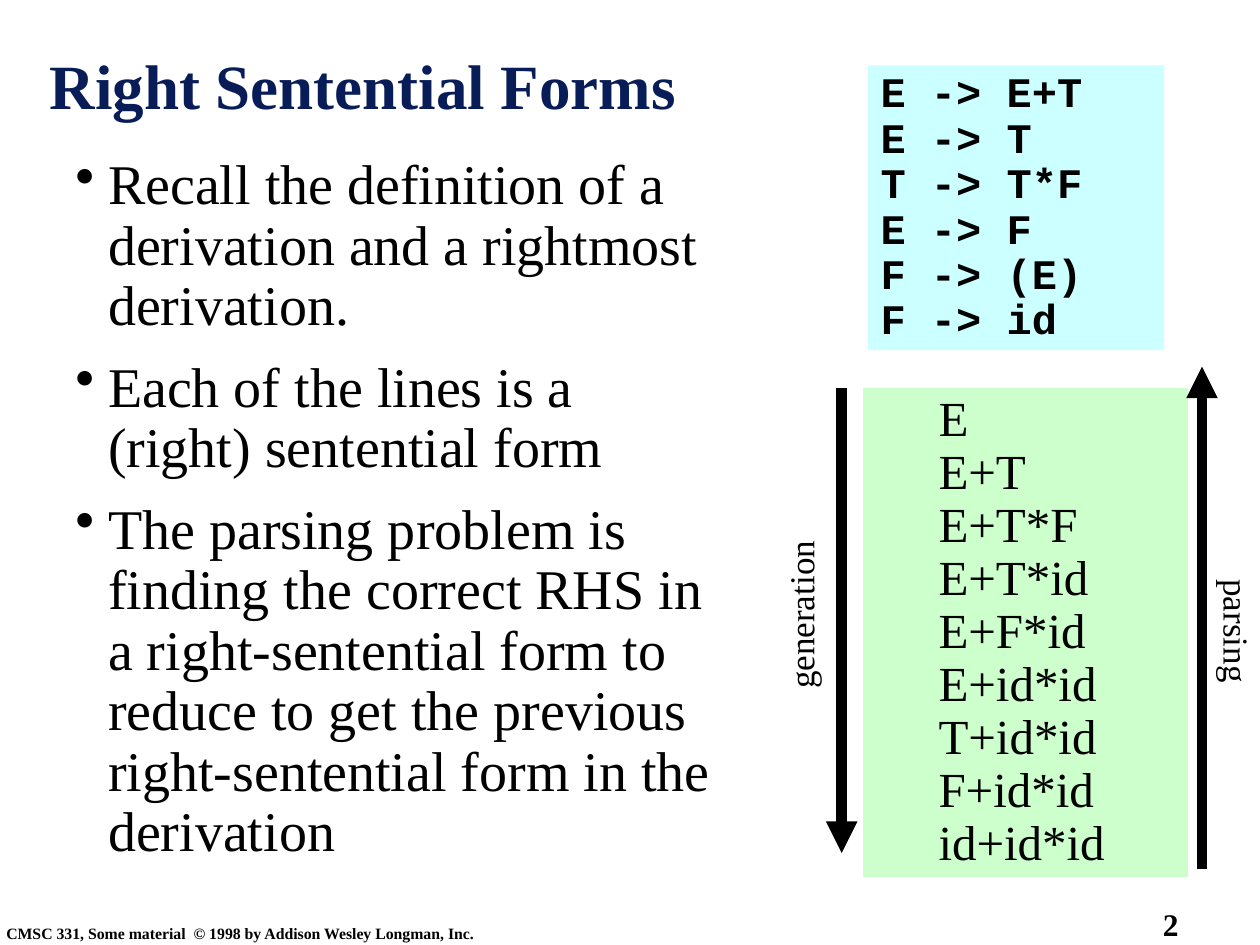
from lxml import etree
from pptx import Presentation
from pptx import util as u
from pptx.dml.color import RGBColor
from pptx.enum import shapes, text
from pptx.oxml.ns import qn

SERIF = "Times New Roman"
MONO = "Courier New"
BLACK = "000000"
NAVY = "081D58"
CYAN = "CCFFFF"
GREEN = "CCFFCC"


def color(value):
    return RGBColor.from_string(value)


class SlideBuilder:
    """Holds the text style and the current slide."""

    wide_margins = (0.1, 0.05)
    thin_margins = (0.05, 0.02)

    def __init__(self, deck):
        self.slide = deck.slides.add_slide(deck.slide_layouts[5])

    def place(self, box, left, top, width, height):
        box.left, box.top = u.Inches(left), u.Inches(top)
        box.width, box.height = u.Inches(width), u.Inches(height)

    def fill_text(self, box, lines, size, font=SERIF, ink=BLACK, bold=False,
                  align=text.PP_ALIGN.LEFT, margins=wide_margins, wrap=True,
                  spacing=0.9, before=0, indent=0, bullet=False):
        frame = box.text_frame
        frame.auto_size = text.MSO_AUTO_SIZE.NONE
        frame.word_wrap = wrap
        frame.margin_left = frame.margin_right = u.Inches(margins[0])
        frame.margin_top = frame.margin_bottom = u.Inches(margins[1])
        for index, line in enumerate(lines):
            para = frame.add_paragraph() if index else frame.paragraphs[0]
            para.alignment = align
            para.line_spacing = spacing
            para.space_before = u.Pt(before if index else 0)
            props = para._p.get_or_add_pPr()
            if indent:
                props.set("marL", str(u.Inches(indent)))
                props.set("indent", str(u.Inches(-indent) if bullet else 0))
            if bullet:
                etree.SubElement(props, qn("a:buChar")).set("char", "•")
            span = para.add_run()
            span.text = line
            span.font.name = font
            span.font.size = u.Pt(size)
            span.font.bold = bold
            span.font.color.rgb = color(ink)

    def title(self, place, line, **style):
        box = self.slide.shapes.title
        self.place(box, *place)
        box.text_frame.vertical_anchor = text.MSO_ANCHOR.TOP
        self.fill_text(box, [line], **style)

    def label(self, place, lines, rotation=0, **style):
        box = self.slide.shapes.add_textbox(*map(u.Inches, place))
        box.rotation = rotation
        self.fill_text(box, lines, **style)

    def panel(self, place, lines, fill, **style):
        box = self.slide.shapes.add_shape(
            shapes.MSO_SHAPE.RECTANGLE, *map(u.Inches, place))
        box.shadow.inherit = False
        box.fill.solid()
        box.fill.fore_color.rgb = color(fill)
        box.line.fill.background()
        box.text_frame.vertical_anchor = text.MSO_ANCHOR.TOP
        self.fill_text(box, lines, **style)

    def vertical_arrow(self, x, start, end, width=6):
        arrow = self.slide.shapes.add_connector(
            shapes.MSO_CONNECTOR.STRAIGHT,
            u.Inches(x), u.Inches(start), u.Inches(x), u.Inches(end))
        arrow.line.color.rgb = color(BLACK)
        arrow.line.width = u.Pt(width)
        outline = arrow.line._get_or_add_ln()
        etree.SubElement(outline, qn("a:tailEnd")).set("type", "triangle")
        etree.SubElement(arrow._element.spPr, qn("a:effectLst"))


def main():
    deck = Presentation()
    deck.slide_width, deck.slide_height = u.Inches(10), u.Inches(7.5)
    page = SlideBuilder(deck)
    thin = dict(margins=page.thin_margins, bold=True, spacing=1.0)

    # Footer and page number
    page.label((0, 7.31, 6.77, 0.19),
               ["CMSC 331, Some material  © 1998 by Addison Wesley Longman, Inc."],
               size=9, **thin)
    page.label((9.18, 7.16, 1.24, 0.34), ["2"], size=18, **thin)

    # Title and bullets
    page.title((0.34, 0.35, 5.08, 0.64), "Right Sentential Forms", size=36,
               ink=NAVY, align=text.PP_ALIGN.CENTER, wrap=False, **thin)
    page.label((0.5, 1.19, 5.38, 5.8), [
        "Recall the definition of a derivation and a rightmost derivation.",
        "Each of the lines is a (right) sentential form",
        "The parsing problem is finding the correct RHS in a right-sentential "
        "form to reduce to get the previous right-sentential form in the "
        "derivation",
    ], size=32, before=12, indent=0.26, bullet=True)

    # Grammar and derivation
    page.panel((6.89, 0.52, 2.35, 2.26),
               ["E -> E+T", "E -> T", "T -> T*F", "E -> F", "F -> (E)", "F -> id"],
               CYAN, size=24, font=MONO, bold=True)
    page.panel((6.85, 3.08, 2.58, 3.88),
               ["E", "E+T", "E+T*F", "E+T*id", "E+F*id", "E+id*id", "T+id*id",
                "F+id*id", "id+id*id"],
               GREEN, size=28, indent=0.5)

    # Direction arrows and their labels
    page.vertical_arrow(6.68, 3.08, 6.77)
    page.vertical_arrow(9.54, 6.9, 2.91)
    page.label((5.69, 4.68, 1.37, 0.4), ["generation"], rotation=270,
               size=20, wrap=False)
    page.label((9.29, 4.81, 1.02, 0.4), ["parsing"], rotation=90,
               size=20, wrap=False)

    deck.save("out.pptx")


if __name__ == "__main__":
    main()
